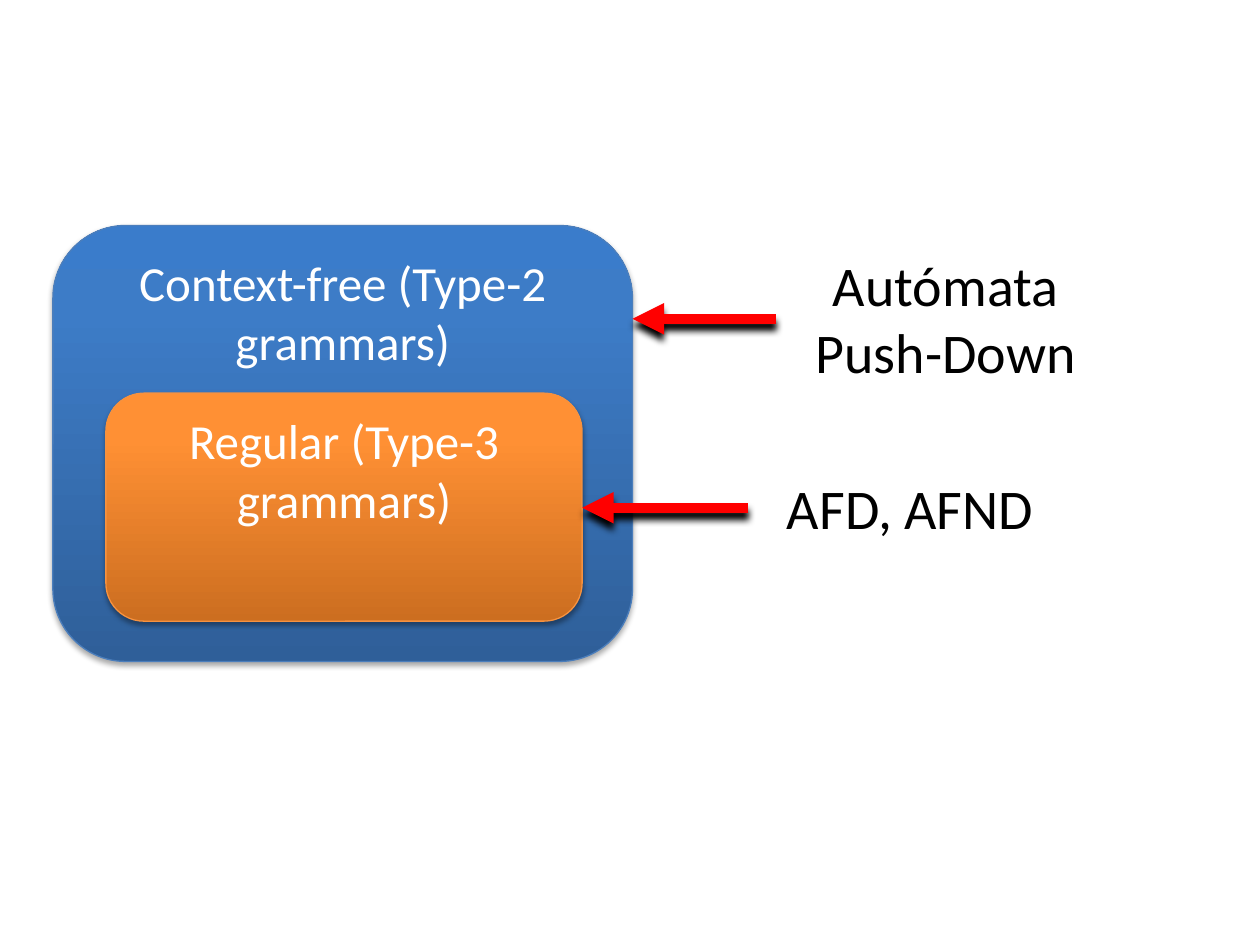
import copy
import pptx
import pptx.dml.color
import pptx.enum.shapes
import pptx.enum.text
import pptx.oxml
import pptx.oxml.ns
import pptx.util

COLORS = {
    "white": "FFFFFF", "black": "000000", "arrow": "FF0000",
    "blue_line": "4B7EBC", "blue_dark": "2F5F99", "blue_mid": "3D7CC7", "blue_top": "3A7CCB",
    "orange_line": "F69240", "orange_dark": "CC6E20", "orange_mid": "FF9034", "orange_top": "FF9136",
}
COLS, ROWS = 100, 75
WIDTH, HEIGHT = pptx.util.Inches(10), pptx.util.Inches(7.5)


def rgb(name):
    return pptx.dml.color.RGBColor.from_string(COLORS[name])


def place(box):
    x, y, w, h = box
    return [round(v) for v in (x * WIDTH / COLS, y * HEIGHT / ROWS, w * WIDTH / COLS, h * HEIGHT / ROWS)]


def write(sp, text, size=28, color="white", anchor=pptx.enum.text.MSO_ANCHOR.TOP):
    tf = sp.text_frame
    tf.word_wrap = True
    tf.vertical_anchor = anchor
    p = tf.paragraphs[0]
    p.alignment = pptx.enum.text.PP_ALIGN.CENTER
    r = p.add_run()
    r.text = text
    r.font.name = "Calibri"
    r.font.size = pptx.util.Pt(size)
    r.font.color.rgb = rgb(color)


def add_shadow(sp, alpha, blur, dist):
    sp._element.spPr.append(pptx.oxml.parse_xml(
        f'<a:effectLst {pptx.oxml.ns.nsdecls("a")}>'
        f'<a:outerShdw blurRad="{pptx.util.Pt(blur)}" dist="{pptx.util.Pt(dist)}" dir="5400000" rotWithShape="0">'
        f'<a:srgbClr val="{COLORS["black"]}"><a:alpha val="{alpha * 1000}"/></a:srgbClr>'
        '</a:outerShdw></a:effectLst>'))


def fill_gradient(sp, hue):
    sp.fill.gradient()
    sp.fill.gradient_angle = 90
    stop_list = sp._element.spPr.find(".//" + pptx.oxml.ns.qn("a:gsLst"))
    stop_list.append(copy.deepcopy(stop_list[-1]))
    for stop, position, shade in zip(sp.fill.gradient_stops, (0, 0.8, 1), ("dark", "mid", "top")):
        stop.position = position
        stop.color.rgb = rgb(f"{hue}_{shade}")


def grammar_class(s, box, text, hue):
    sp = s.shapes.add_shape(pptx.enum.shapes.MSO_SHAPE.ROUNDED_RECTANGLE, *place(box))
    fill_gradient(sp, hue)
    sp.line.color.rgb = rgb(f"{hue}_line")
    sp.line.width = pptx.util.Pt(0.75)
    add_shadow(sp, 35, 3.1, 1.8)
    write(sp, text)


def automaton_label(s, box, text):
    write(s.shapes.add_textbox(*place(box)), text, size=32, color="black")


def automaton_arrow(s, label_box, class_box):
    left, top, _, height = place(label_box)
    class_left, _, class_width, _ = place(class_box)
    y = top + height // 2
    line = s.shapes.add_connector(
        pptx.enum.shapes.MSO_CONNECTOR.STRAIGHT, left, y, class_left + class_width, y)
    line.line.color.rgb = rgb("arrow")
    line.line.width = pptx.util.Pt(6)
    line.line._get_or_add_ln().append(pptx.oxml.parse_xml(
        f'<a:tailEnd {pptx.oxml.ns.nsdecls("a")} type="triangle"/>'))
    add_shadow(line, 100, 4, 4)


def main():
    prs = pptx.Presentation()
    prs.slide_width, prs.slide_height = WIDTH, HEIGHT
    s = prs.slides.add_slide(prs.slide_layouts[6])

    context_free, regular = (4.2, 17.9, 46, 34.6), (8.4, 31.2, 37.8, 18.1)
    finite, push_down = (59.4, 37.1, 25.7, 6.4), (61.6, 19.4, 26.9, 11.8)

    grammar_class(s, context_free, "Context-free (Type-2 grammars)", "blue")
    grammar_class(s, regular, "Regular (Type-3 grammars)", "orange")
    automaton_label(s, finite, "AFD, AFND")
    automaton_label(s, push_down, "Autómata Push-Down")
    automaton_arrow(s, finite, regular)
    automaton_arrow(s, push_down, context_free)

    prs.save("out.pptx")


if __name__ == "__main__":
    main()
